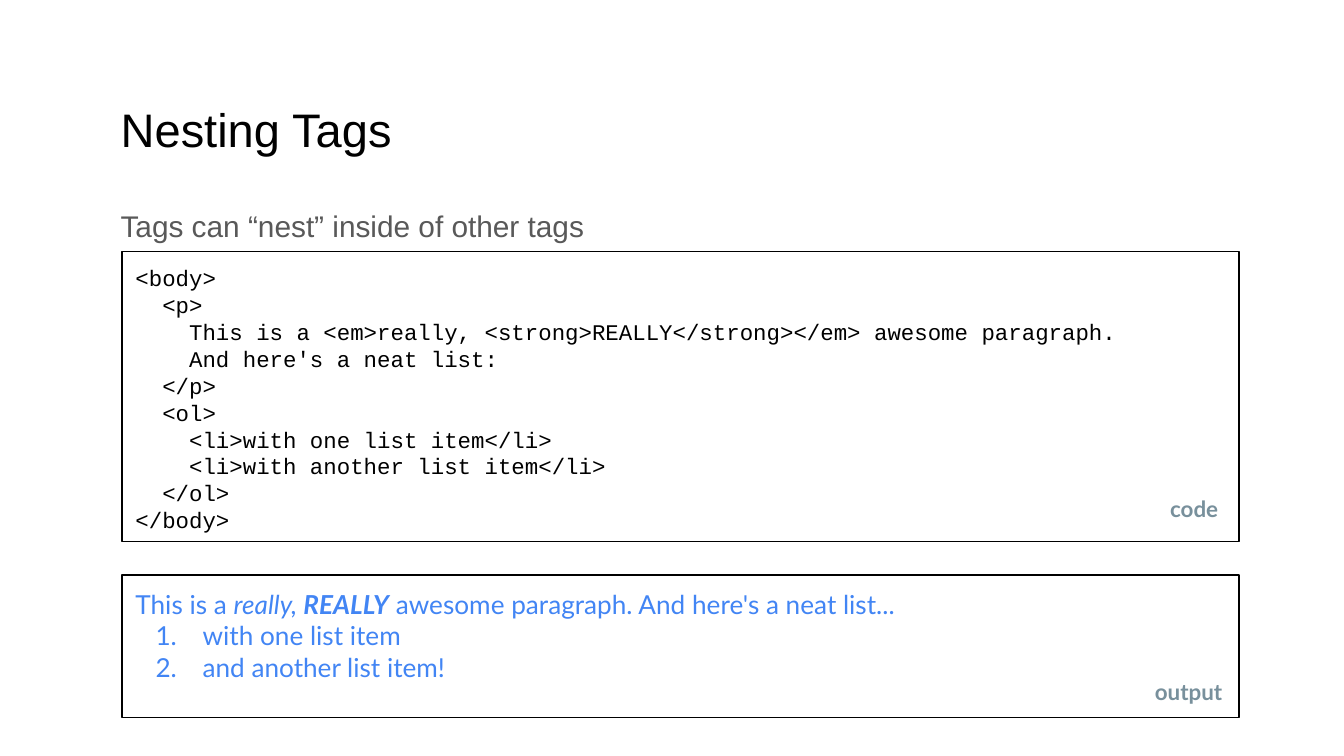
"""Build the slide on nesting tags, with its code and output boxes."""
import pptx
import pptx.dml.color
import pptx.enum.shapes
import pptx.enum.text
import pptx.oxml.ns
import pptx.util
from lxml import etree

Cm = pptx.util.Cm
RGBColor = pptx.dml.color.RGBColor
ALIGN = pptx.enum.text.PP_ALIGN
ANCHOR = pptx.enum.text.MSO_ANCHOR

BLACK = RGBColor(0x00, 0x00, 0x00)
GRAY = RGBColor(0x59, 0x59, 0x59)
BLUE = RGBColor(0x42, 0x85, 0xF4)
SLATE = RGBColor(0x78, 0x90, 0x9C)

CODE = """<body>
  <p>
    This is a <em>really, <strong>REALLY</strong></em> awesome paragraph.
    And here's a neat list:
  </p>
  <ol>
    <li>with one list item</li>
    <li>with another list item</li>
  </ol>
</body>"""

INTRO = [
    ("This is a ", {}),
    ("really, ", {"italic": True}),
    ("REALLY", {"italic": True, "bold": True}),
    (" awesome paragraph. And here's a neat list...", {}),
]
ITEMS = ["with one list item", "and another list item!"]


def write(para, text, font="Arial", size=12, color=BLACK, bold=False, italic=False):
    """Add a formatted run to a paragraph."""
    run = para.add_run()
    run.text = text
    run.font.name = font
    run.font.size = pptx.util.Pt(size)
    run.font.color.rgb = color
    run.font.bold = bold
    run.font.italic = italic


def number(para, color):
    """Give a paragraph an automatic number and a hanging indent."""
    props = para._p.get_or_add_pPr()
    props.set("marL", str(Cm(1.27)))
    props.set("indent", str(Cm(-0.89)))
    qn = pptx.oxml.ns.qn
    tint = etree.SubElement(props, qn("a:buClr"))
    etree.SubElement(tint, qn("a:srgbClr"), val=str(color))
    etree.SubElement(props, qn("a:buAutoNum"), type="arabicPeriod")


class Page:
    """Hold the style and the current slide."""

    pad = Cm(0.25)
    left = 2.31
    width = 21.11

    def __init__(self, deck):
        self.slide = deck.slides.add_slide(deck.slide_layouts[5])

    def frame(self, shape, anchor=ANCHOR.TOP):
        """Set up the text frame of a shape and return it."""
        frame = shape.text_frame
        frame.word_wrap = True
        frame.auto_size = pptx.enum.text.MSO_AUTO_SIZE.NONE
        frame.vertical_anchor = anchor
        frame.margin_left = frame.margin_right = self.pad
        frame.margin_top = frame.margin_bottom = self.pad
        return frame

    def title(self, text, left, top, width, height):
        """Place the title."""
        shape = self.slide.shapes.title
        shape.left, shape.top = Cm(left), Cm(top)
        shape.width, shape.height = Cm(width), Cm(height)
        para = self.frame(shape).paragraphs[0]
        para.alignment = ALIGN.LEFT
        write(para, text, size=25.2)

    def text(self, left, top, width, height, anchor=ANCHOR.TOP):
        """Add a text box and return its first paragraph."""
        shape = self.slide.shapes.add_textbox(Cm(left), Cm(top), Cm(width), Cm(height))
        return self.frame(shape, anchor).paragraphs[0]

    def label(self, text, left, top, width):
        """Add a small bold label to a box."""
        para = self.text(left, top, width, 0.99, ANCHOR.MIDDLE)
        para.alignment = ALIGN.CENTER
        write(para, text, font="Lato", color=SLATE, bold=True)

    def box(self, top, height, count):
        """Add an outlined box and return its paragraphs."""
        shape = self.slide.shapes.add_shape(
            pptx.enum.shapes.MSO_SHAPE.RECTANGLE,
            Cm(self.left), Cm(top), Cm(self.width), Cm(height))
        shape.shadow.inherit = False
        shape.fill.background()
        shape.line.color.rgb = BLACK
        shape.line.width = pptx.util.Pt(0.75)
        frame = self.frame(shape)
        for _ in range(count - 1):
            frame.add_paragraph()
        for para in frame.paragraphs:
            para.alignment = ALIGN.LEFT
        return frame.paragraphs


def main():
    """Build and save the deck."""
    deck = pptx.Presentation()
    deck.slide_width, deck.slide_height = Cm(25.4), Cm(14.29)
    page = Page(deck)

    page.title("Nesting Tags", 2.03, 1.65, 21.36, 1.5)
    lead = page.text(2.03, 3.58, 21.36, 1.27)
    lead.line_spacing = 1.15
    lead.space_after = pptx.util.Pt(12)
    write(lead, "Tags can “nest” inside of other tags", size=16, color=GRAY)

    lines = CODE.split("\n")
    for para, line in zip(page.box(4.75, 5.49, len(lines)), lines):
        write(para, line, font="Courier New")

    style = {"font": "Lato", "size": 14, "color": BLUE}
    intro, *rows = page.box(10.87, 2.69, 1 + len(ITEMS))
    for text, extra in INTRO:
        write(intro, text, **style, **extra)
    for para, item in zip(rows, ITEMS):
        number(para, BLUE)
        write(para, item, **style)

    page.label("code", 21.72, 9.12, 1.7)
    page.label("output", 21.51, 12.57, 1.91)
    deck.save("out.pptx")


if __name__ == "__main__":
    main()
